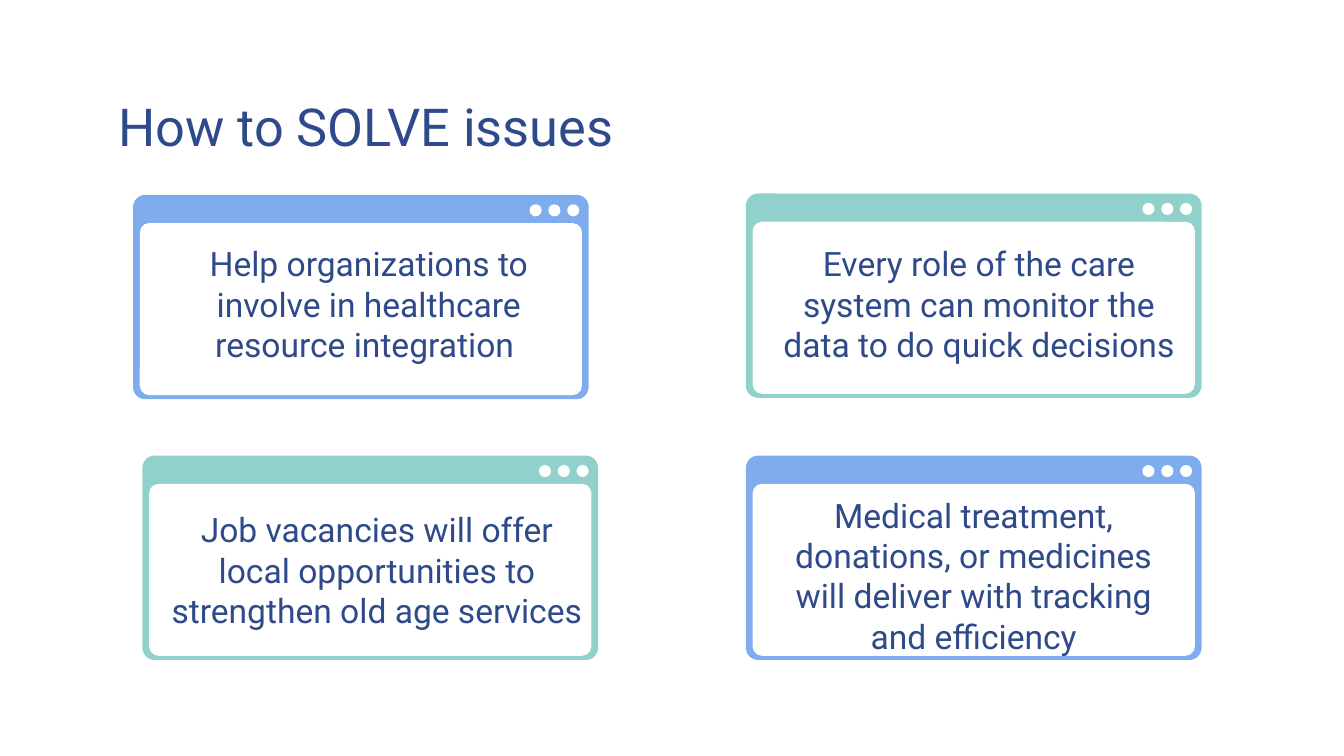
from pptx import Presentation
from pptx.dml.color import RGBColor
from pptx.enum.shapes import MSO_SHAPE as Shape
from pptx.enum.text import MSO_ANCHOR as Anchor, MSO_AUTO_SIZE as Fit, PP_ALIGN as Align
from pptx.util import Inches, Pt

# Content: window left and top, bar colour, text box, wording
TITLE = "How to SOLVE issues"
COLORS = {"ink": "2F4A8A", "blue": "7EACEC", "mint": "90D1CB", "white": "FFFFFF"}
COLS, ROWS = (1.06, 5.55), (1.44, 3.39)
CARDS = [
    (COLS[0] - 0.07, ROWS[0] + 0.01, "blue", (1.11, 1.71, 3.27, 1.14),
     "Help organizations to involve in healthcare resource integration "),
    (COLS[1], ROWS[0], "mint", (5.65, 1.71, 3.27, 1.14),
     "Every role of the care system can monitor the data to do quick decisions"),
    (COLS[0], ROWS[1], "mint", (1.12, 3.69, 3.37, 1.14),
     "Job vacancies will offer local opportunities to strengthen old age services"),
    (COLS[1], ROWS[1], "blue", (5.61, 3.58, 3.27, 1.33),
     "Medical treatment, donations, or medicines will deliver with tracking and efficiency"),
]

# Window geometry, relative to its top left corner
WIDE, HIGH = 3.39, 1.52
EDGE, BAR, BASE = 0.05, 0.21, 0.03
DOT, STEP, FIRST, DROP = 0.09, 0.14, 2.95, 0.07

# Slide in 16:9
deck = Presentation()
deck.slide_width = Inches(10)
deck.slide_height = deck.slide_width * 9 // 16
slide = deck.slides.add_slide(deck.slide_layouts[5])


def paint(group, kind, color, left, top, wide, high, radius=None):
    part = group.shapes.add_shape(kind, *map(Inches, (left, top, wide, high)))
    part.shadow.inherit = False
    part.fill.solid()
    part.fill.fore_color.rgb = RGBColor.from_string(COLORS[color])
    part.line.fill.background()
    if radius:
        part.adjustments[0] = radius / min(wide, high)


def write(box, text, size=18, align=Align.CENTER, color="ink"):
    frame = box.text_frame
    frame.text = text
    frame.word_wrap = True
    frame.auto_size = Fit.NONE
    frame.vertical_anchor = Anchor.TOP
    frame.margin_left = frame.margin_right = Inches(0.1)
    frame.margin_top = frame.margin_bottom = Inches(0.1)
    para = frame.paragraphs[0]
    para.alignment = align
    font = para.runs[0].font
    font.name, font.size = "Roboto", Pt(size)
    font.color.rgb = RGBColor.from_string(COLORS[color])


def window(left, top, color):
    group = slide.shapes.add_group_shape()
    paint(group, Shape.ROUNDED_RECTANGLE, color, left, top, WIDE, HIGH, 0.09)
    paint(group, Shape.ROUNDED_RECTANGLE, "white", left + EDGE, top + BAR,
          WIDE - 2 * EDGE, HIGH - BAR - BASE, 0.07)
    for i in range(3):
        paint(group, Shape.OVAL, "white", left + FIRST + i * STEP, top + DROP, DOT, DOT)


# Title
title = slide.shapes.title
title.left, title.top, title.width, title.height = map(Inches, (0.78, 0.6, 8.44, 0.51))
write(title, TITLE, size=28, align=Align.LEFT)

# Browser windows with their text
for left, top, color, area, text in CARDS:
    window(left, top, color)
    write(slide.shapes.add_textbox(*map(Inches, area)), text)

deck.save("out.pptx")
